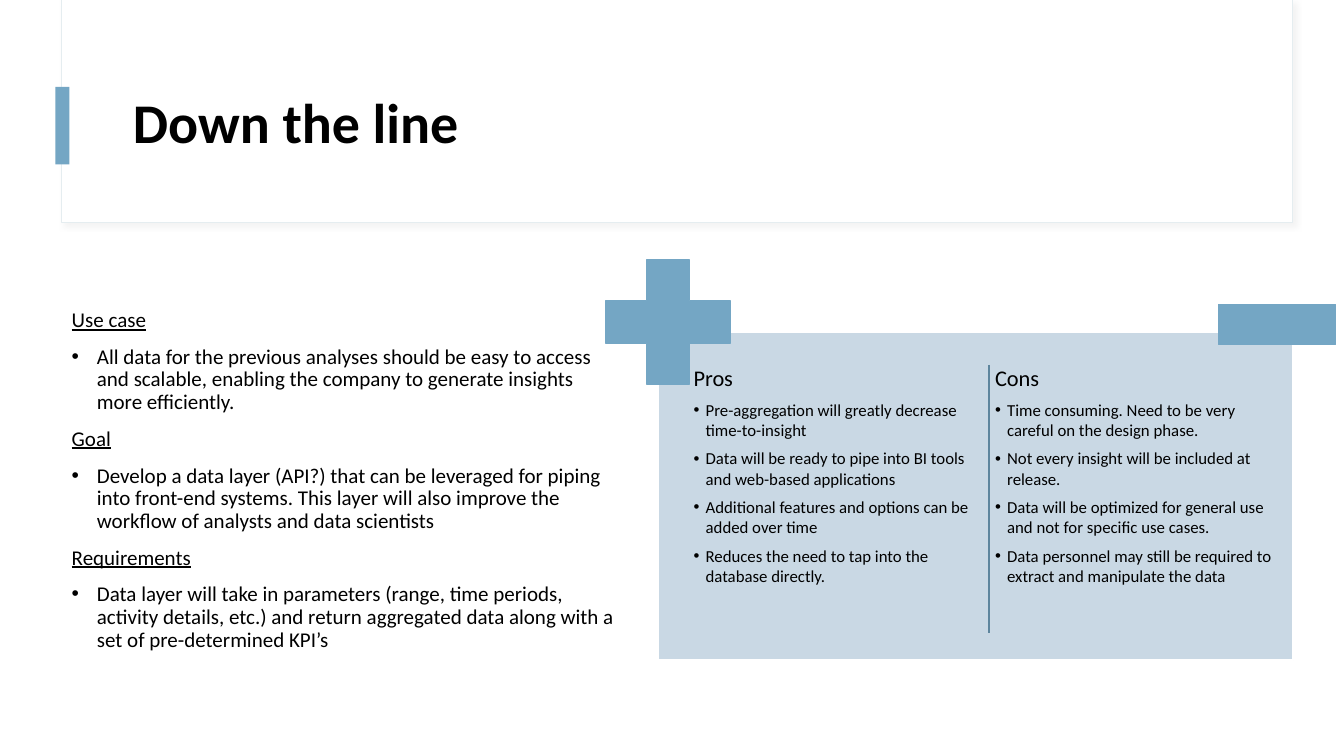
"""Build the "Down the line" slide: use case, goal and requirements beside pros and cons."""
import lxml.etree
import pptx
import pptx.dml.color
import pptx.enum.shapes
import pptx.enum.text
import pptx.oxml
import pptx.oxml.ns
import pptx.util

COLORS = {"white": "FFFFFF", "banner edge": "E5EDF0", "accent": "74A6C4", "panel": "C9D8E4",
          "divider": "5D859D", "ink": "000000", "shade": "D9D9D9"}
RGB = {name: pptx.dml.color.RGBColor.from_string(value) for name, value in COLORS.items()}
SHAPES = pptx.enum.shapes.MSO_SHAPE
Pt = pptx.util.Pt
qn = pptx.oxml.ns.qn

deck = pptx.Presentation()
deck.slide_width = pptx.util.Inches(13.33)
deck.slide_height = pptx.util.Inches(7.5)
slide = deck.slides.add_slide(deck.slide_layouts[6])


def share(left, top, width, height):
    """Turn percentages of the slide into lengths."""
    across, down = deck.slide_width / 100, deck.slide_height / 100
    return [round(part) for part in (left * across, top * down, width * across, height * down)]


def write(place, paragraphs, inset, anchor="TOP"):
    """Add a text box of (text, font, spacing, indent) paragraphs; an indent brings a bullet."""
    frame = slide.shapes.add_textbox(*share(*place)).text_frame
    frame.word_wrap = True
    frame.vertical_anchor = pptx.enum.text.MSO_ANCHOR[anchor]
    for side, gap in zip(("left", "top", "right", "bottom"), inset):
        setattr(frame, "margin_" + side, pptx.util.Inches(gap))
    for index, (text, font, spacing, indent) in enumerate(paragraphs):
        paragraph = frame.add_paragraph() if index else frame.paragraphs[0]
        run = paragraph.add_run()
        run.text = text
        run.font.color.rgb = RGB["ink"]
        for key, value in {"name": "Calibri", **font}.items():
            setattr(run.font, key, value)
        for key, value in spacing.items():
            setattr(paragraph, key, value)
        if indent:
            properties = paragraph._p.get_or_add_pPr()
            properties.set("marL", str(pptx.util.Inches(indent)))
            properties.set("indent", str(-pptx.util.Inches(indent)))
            lxml.etree.SubElement(properties, qn("a:buFont"), typeface="Arial")
            lxml.etree.SubElement(properties, qn("a:buChar"), char="•")


decorations = {
    "banner": (SHAPES.RECTANGLE, (4.6, 0, 91.55, 29.45), "white", "banner edge", 0.75),
    "title mark": (SHAPES.RECTANGLE, (4.12, 11.5, 1.05, 10.27), "accent", None, 0),
    "panel": (SHAPES.RECTANGLE, (48.97, 44, 47.25, 43.33), "panel", "white", 1),
    "plus": (SHAPES.CROSS, (45.08, 34.4, 9.23, 16.4), "accent", "accent", 1),
    "minus": (SHAPES.RECTANGLE, (90.68, 40.27, 8.7, 5.33), "accent", "accent", 1),
}
drawn = {}
for part, (kind, place, fill, edge, weight) in decorations.items():
    drawn[part] = slide.shapes.add_shape(kind, *share(*place))
    drawn[part].shadow.inherit = False
    drawn[part].fill.solid()
    drawn[part].fill.fore_color.rgb = RGB[fill]
    if edge:
        drawn[part].line.color.rgb = RGB[edge]
        drawn[part].line.width = Pt(weight)
    else:
        drawn[part].line.fill.background()
drawn["plus"].adjustments[0] = 0.328

banner_effects = drawn["banner"]._element.spPr.find(qn("a:effectLst"))
shade = lxml.etree.SubElement(banner_effects, qn("a:outerShdw"), blurRad=str(Pt(4)),
                              dist=str(Pt(3)), dir=str(45 * 60000), algn="tl", rotWithShape="0")
shade_color = lxml.etree.SubElement(shade, qn("a:srgbClr"), val=COLORS["shade"])
lxml.etree.SubElement(shade_color, qn("a:alpha"), val="30000")

divider_x, divider_top, _, divider_height = share(73.58, 48.27, 0, 35.46)
divider = slide.shapes.add_connector(pptx.enum.shapes.MSO_CONNECTOR.STRAIGHT, divider_x,
                                     divider_top, divider_x, divider_top + divider_height)
divider.line.color.rgb = RGB["divider"]
divider.line.width = Pt(1)
lxml.etree.SubElement(divider._element.spPr, qn("a:effectLst"))

wide_inset = (0.1, 0.05, 0.1, 0.05)
title_font = {"size": Pt(40), "bold": True}
write((9.15, 8, 83.42, 17.2), [("Down the line", title_font, {"line_spacing": 0.9}, 0)],
      wide_inset, "MIDDLE")

plan = {
    "Use case": "All data for the previous analyses should be easy to access and scalable, "
                "enabling the company to generate insights more efficiently.",
    "Goal": "Develop a data layer (API?) that can be leveraged for piping into front-end systems. "
            "This layer will also improve the workflow of analysts and data scientists",
    "Requirements": "Data layer will take in parameters (range, time periods, activity details, "
                    "etc.) and return aggregated data along with a set of pre-determined KPI’s",
}
plan_spacing = {"line_spacing": 0.9, "space_before": Pt(10)}
plan_lines = []
for heading, detail in plan.items():
    plan_lines.append((heading, {"size": Pt(15), "underline": True}, plan_spacing, 0))
    plan_lines.append((detail, {"size": Pt(15)}, plan_spacing, 0.25))
write((4.6, 40.27, 42.22, 47.2), plan_lines, wide_inset)

verdicts = {
    "Pros": ["Pre-aggregation will greatly decrease time-to-insight",
             "Data will be ready to pipe into BI tools and web-based applications",
             "Additional features and options can be added over time",
             "Reduces the need to tap into the database directly."],
    "Cons": ["Time consuming. Need to be very careful on the design phase.",
             "Not every insight will be included at release.",
             "Data will be optimized for general use and not for specific use cases.",
             "Data personnel may still be required to extract and manipulate the data"],
}
for column, (heading, points) in enumerate(verdicts.items()):
    verdict_lines = [(heading, {"size": Pt(16)}, {"line_spacing": 0.9, "space_after": Pt(6)}, 0)]
    verdict_lines += [(point, {"size": Pt(12)}, {"space_after": Pt(6)}, 0.12) for point in points]
    write((51.38 + column * 22.43, 48.13, 21.9, 37.07), verdict_lines, [0.03] * 4)

deck.save("out.pptx")
